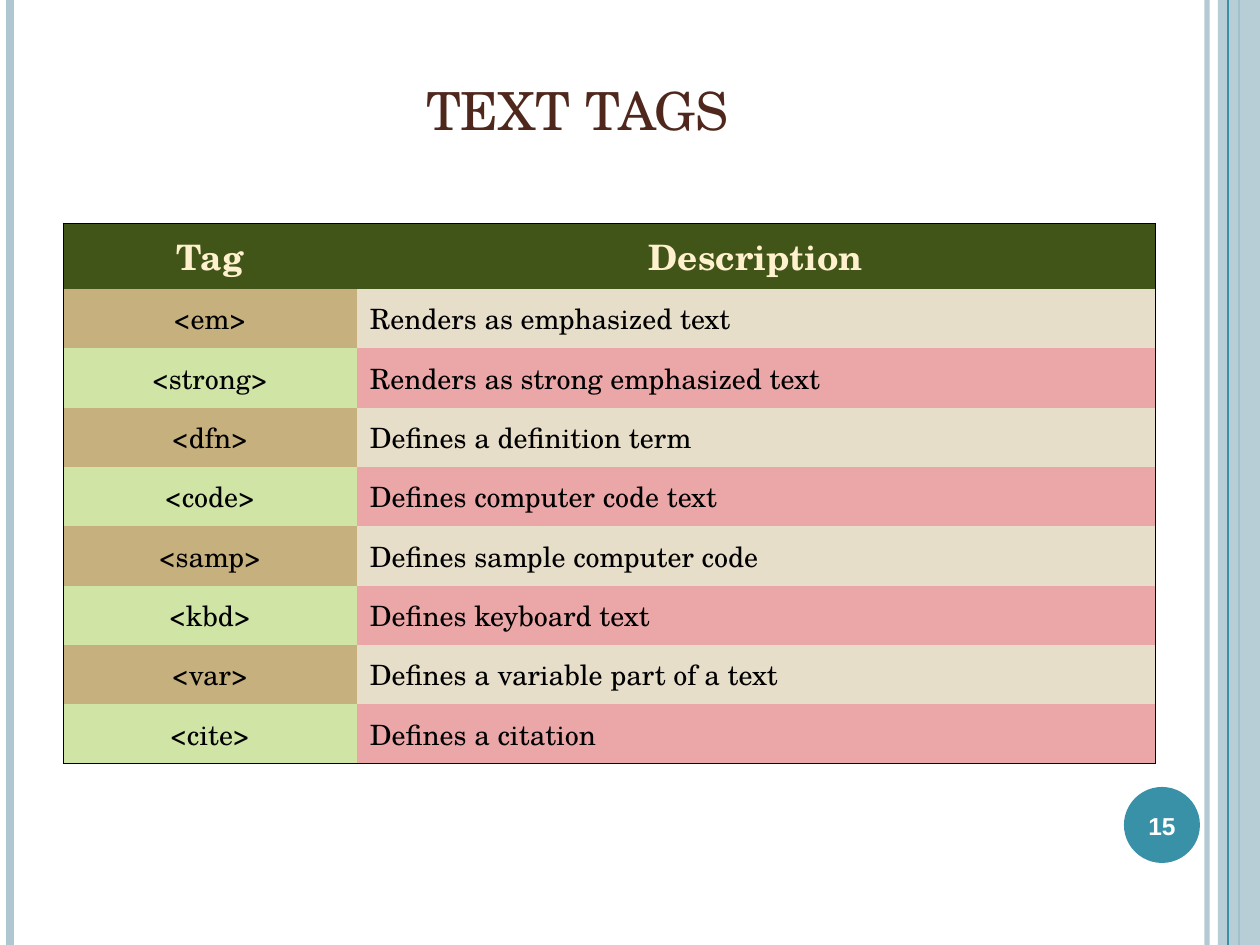
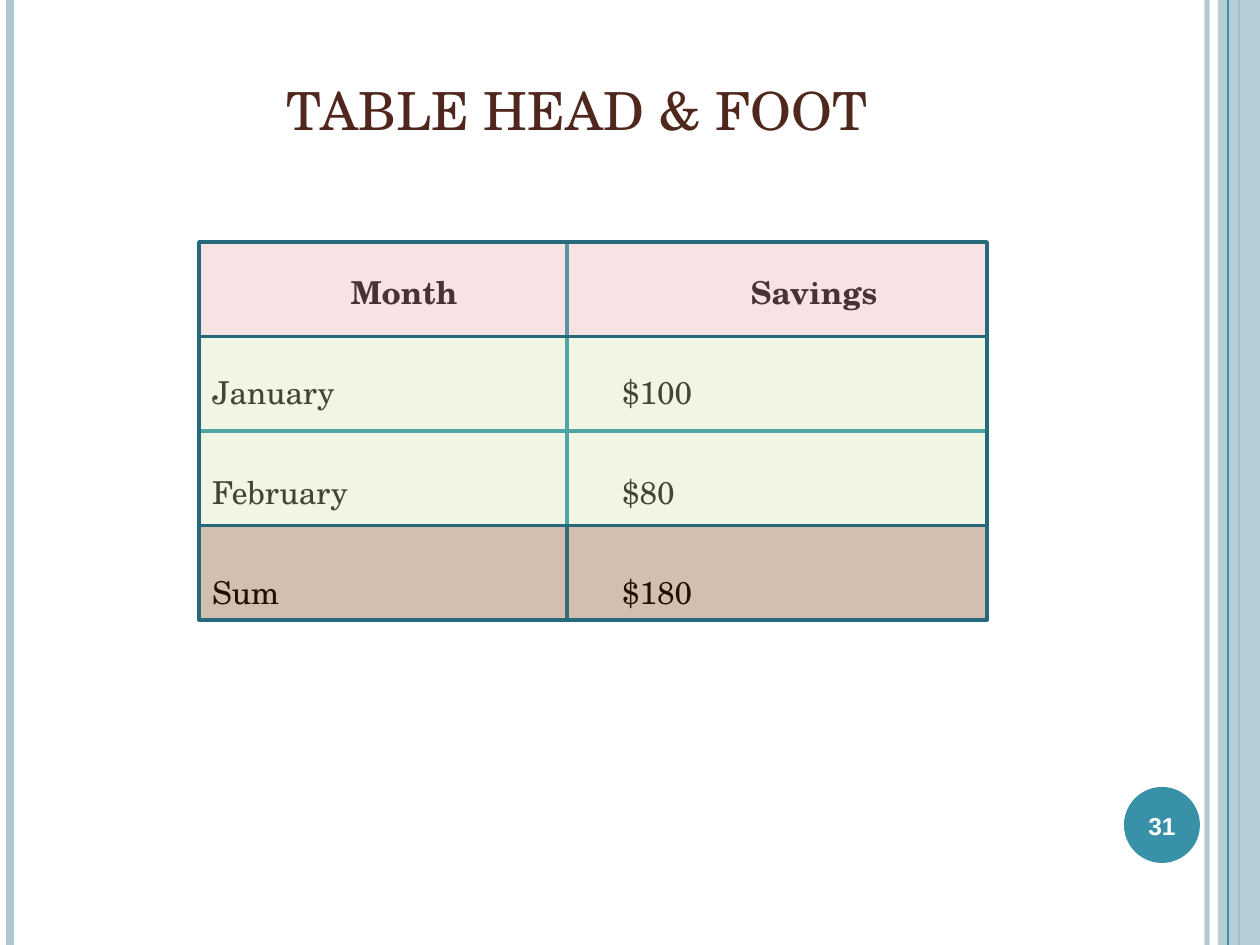
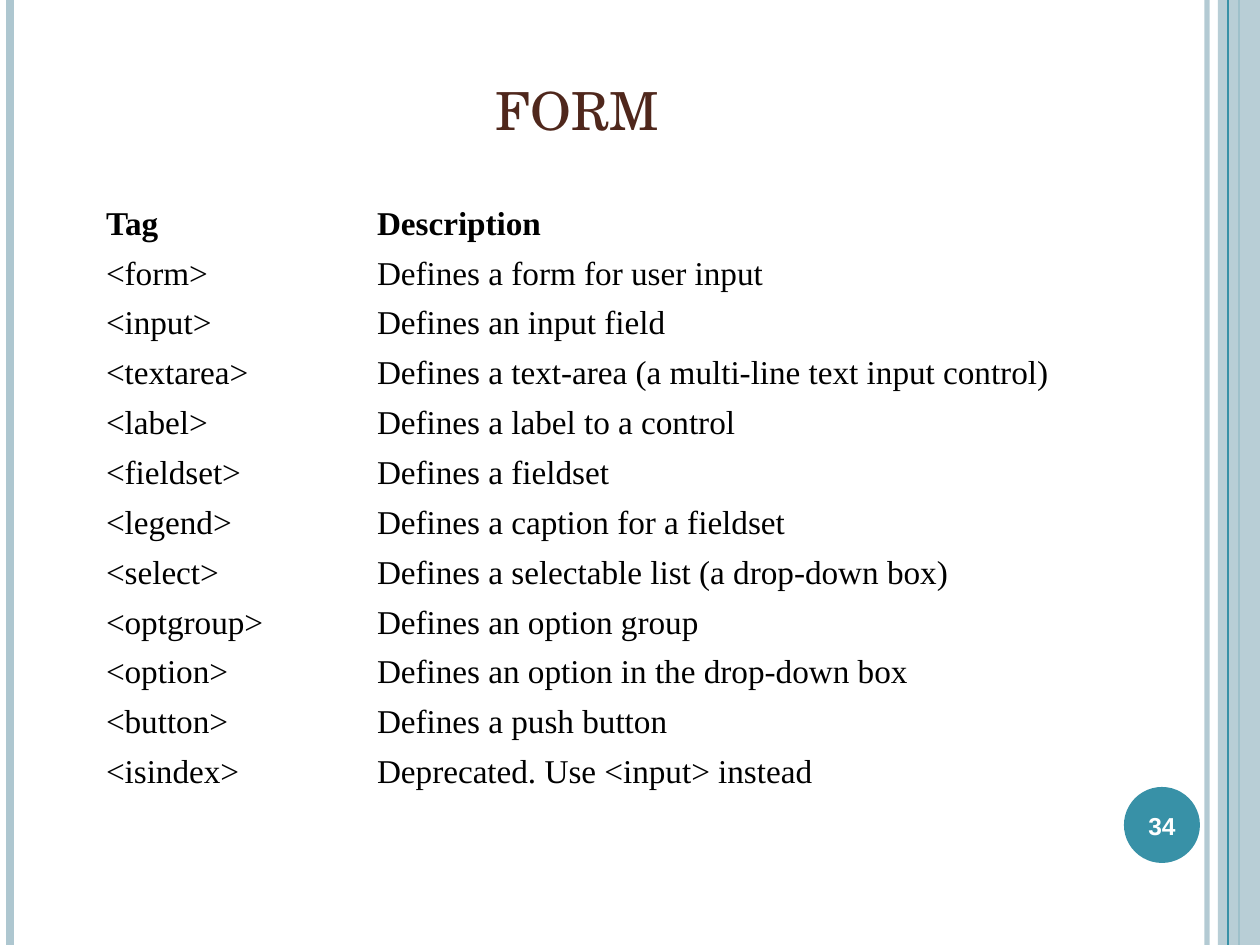
from dataclasses import dataclass

from lxml import etree
from pptx import Presentation
from pptx.dml.color import RGBColor
from pptx.enum.shapes import MSO_CONNECTOR, MSO_SHAPE
from pptx.enum.text import MSO_ANCHOR, PP_ALIGN
from pptx.oxml.ns import qn
from pptx.util import Emu, Pt

RECTANGLE, OVAL = MSO_SHAPE.RECTANGLE, MSO_SHAPE.OVAL
STRAIGHT = MSO_CONNECTOR.STRAIGHT
MIDDLE, BOTTOM = MSO_ANCHOR.MIDDLE, MSO_ANCHOR.BOTTOM
LEFT, CENTER = PP_ALIGN.LEFT, PP_ALIGN.CENTER
NO_TABLE_STYLE = "{2D5ABB26-0587-4C30-8999-92F81FD0307C}"
PX = 914400 / 126
SLIDE_WIDTH, SLIDE_HEIGHT = 1260, 945


@dataclass(frozen=True)
class Theme:
    serif: str = "TeX Gyre Schola"
    plain: str = "Times New Roman"
    sans: str = "Arial"
    title: str = "4F271C"
    ink: str = "000000"
    white: str = "FFFFFF"
    pale: str = "AEC7D0"
    teal: str = "3891A7"
    cream: str = "FFF1CE"
    olive: str = "425519"
    tan: str = "C6B07E"
    sand: str = "E7DEC9"
    lime: str = "D0E4A6"
    pink: str = "EBA7A8"
    brown: str = "713204"
    grid: str = "1689A6"
    frame: str = "26697A"
    title_size: int = 30
    heading_size: int = 20
    form_size: int = 19
    savings_size: int = 18
    body_size: int = 16
    number_size: int = 14


THEME = Theme()

TEXT_TAGS = [
    ("Tag", "Description"),
    ("<em>", "Renders as emphasized text"),
    ("<strong>", "Renders as strong emphasized text"),
    ("<dfn>", "Defines a definition term"),
    ("<code>", "Defines computer code text"),
    ("<samp>", "Defines sample computer code"),
    ("<kbd>", "Defines keyboard text"),
    ("<var>", "Defines a variable part of a text"),
    ("<cite>", "Defines a citation"),
]
SAVINGS = [
    ("Month", "Savings"),
    ("January", "$100"),
    ("February", "$80"),
    ("Sum", "$180"),
]
FORM_TAGS = [
    ("Tag", "Description"),
    ("<form>", "Defines a form for user input"),
    ("<input>", "Defines an input field"),
    ("<textarea>", "Defines a text-area (a multi-line text input control)"),
    ("<label>", "Defines a label to a control"),
    ("<fieldset>", "Defines a fieldset"),
    ("<legend>", "Defines a caption for a fieldset"),
    ("<select>", "Defines a selectable list (a drop-down box)"),
    ("<optgroup>", "Defines an option group"),
    ("<option>", "Defines an option in the drop-down box"),
    ("<button>", "Defines a push button"),
    ("<isindex>", "Deprecated. Use <input> instead"),
]


def px(length):
    return Emu(round(length * PX))


def box(*lengths):
    return [px(length) for length in lengths]


def rgb(color):
    return RGBColor.from_string(color)


def set_attributes(target, values):
    for name, value in values.items():
        setattr(target, name, value)


def set_opacity(element, percent):
    for color in element.iter(qn("a:srgbClr")):
        etree.SubElement(color, qn("a:alpha"), val=str(percent * 1000))


def write(paragraph, text, font, size, color, bold=False, align=LEFT):
    paragraph.alignment = align
    run = paragraph.add_run()
    run.text = text
    set_attributes(run.font, {"name": font, "size": Pt(size), "bold": bold})
    run.font.color.rgb = rgb(color)


def add_text(slide, bounds, anchor, text, **style):
    frame = slide.shapes.add_textbox(*box(*bounds)).text_frame
    set_attributes(frame, {"word_wrap": True, "vertical_anchor": anchor})
    write(frame.paragraphs[0], text, align=CENTER, **style)


def add_line(slide, start, end, color, width, opacity=100):
    line = slide.shapes.add_connector(STRAIGHT, *box(*start, *end))
    line.line.color.rgb = rgb(color)
    line.line.width = Pt(width)
    properties = line._element.spPr
    etree.SubElement(properties, qn("a:effectLst"))
    if opacity < 100:
        set_opacity(properties, opacity)


def add_panel(slide, kind, bounds, color, opacity=100, outline=None):
    shape = slide.shapes.add_shape(kind, *box(*bounds))
    shape.shadow.inherit = False
    shape.fill.solid()
    shape.fill.fore_color.rgb = rgb(color)
    if opacity < 100:
        set_opacity(shape._element.spPr.find(qn("a:solidFill")), opacity)
    if outline:
        shape.line.color.rgb = rgb(outline)
        shape.line.width = Pt(2)
    else:
        shape.line.fill.background()


def add_table(slide, rows, corner, widths, heights, margins, cell_style):
    bounds = box(*corner, sum(widths), sum(heights))
    table = slide.shapes.add_table(len(rows), len(widths), *bounds).table
    set_attributes(table, {"first_row": False, "horz_banding": False})
    table._tbl.tblPr.find(qn("a:tableStyleId")).text = NO_TABLE_STYLE
    for column, width in zip(table.columns, widths):
        column.width = px(width)
    for row, height in zip(table.rows, heights):
        row.height = px(height)
    side, end = box(*margins)
    for r, texts in enumerate(rows):
        for c, text in enumerate(texts):
            cell = table.cell(r, c)
            set_attributes(cell, {
                "vertical_anchor": MIDDLE,
                "margin_left": side, "margin_right": side,
                "margin_top": end, "margin_bottom": end,
            })
            fill, style = cell_style(r, c)
            if fill:
                cell.fill.solid()
                cell.fill.fore_color.rgb = rgb(fill)
            else:
                cell.fill.background()
            write(cell.text_frame.paragraphs[0], text, **style)
    return table


def outline_table(table, color, width):
    last_row, last_column = len(table.rows) - 1, len(table.columns) - 1
    for r in range(last_row + 1):
        for c in range(last_column + 1):
            edges = {"L": c == 0, "R": c == last_column, "T": r == 0, "B": r == last_row}
            properties = table.cell(r, c)._tc.get_or_add_tcPr()
            sides = [side for side, outer in edges.items() if outer]
            for position, side in enumerate(sides):
                border = etree.Element(qn(f"a:ln{side}"), w=str(Pt(width)))
                fill = etree.SubElement(border, qn("a:solidFill"))
                etree.SubElement(fill, qn("a:srgbClr"), val=color)
                properties.insert(position, border)


def add_base_slide(presentation, title, number):
    slide = presentation.slides.add_slide(presentation.slide_layouts[6])

    def rule(x, color, width, opacity=100):
        add_line(slide, (x, 0), (x, SLIDE_HEIGHT), color, width, opacity)

    rule(1207, THEME.pale, 3, 93)
    rule(10, THEME.pale, 4.5)
    rule(1239, THEME.teal, 1.5)
    add_panel(slide, RECTANGLE, (1218, 0, 42, SLIDE_HEIGHT), THEME.pale, 87)
    rule(1228, THEME.teal, 0.75)
    add_panel(slide, OVAL, (1124, 787, 76, 76), THEME.teal)
    add_text(slide, (63, 38, 1029, 109), BOTTOM, title,
             font=THEME.serif, size=THEME.title_size, color=THEME.title)
    add_text(slide, (1120, 790, 84, 72), MIDDLE, str(number),
             font=THEME.sans, size=THEME.number_size, color=THEME.white, bold=True)
    return slide


def text_tag_style(r, c):
    style = {"font": THEME.serif, "align": LEFT if r and c else CENTER}
    if r == 0:
        return THEME.olive, {**style, "size": THEME.heading_size,
                             "color": THEME.cream, "bold": True}
    fills = (THEME.tan, THEME.sand) if r % 2 else (THEME.lime, THEME.pink)
    return fills[c], {**style, "size": THEME.body_size, "color": THEME.ink}


def savings_style(r, c):
    return None, {"font": THEME.serif, "size": THEME.savings_size, "color": THEME.ink,
                  "bold": r == 0, "align": LEFT if r else CENTER}


def form_style(r, c):
    return None, {"font": THEME.plain, "size": THEME.form_size,
                  "color": THEME.ink, "bold": r == 0}


def add_text_tags(presentation):
    slide = add_base_slide(presentation, "TEXT TAGS", 15)
    body_rows = len(TEXT_TAGS) - 1
    heights = [66] + [475 / body_rows] * body_rows
    table = add_table(slide, TEXT_TAGS, (63, 223), (294, 798), heights,
                      (13, 6), text_tag_style)
    outline_table(table, THEME.ink, 0.45)


def add_savings(presentation):
    slide = add_base_slide(presentation, "TABLE HEAD & FOOT", 31)
    left, top, width, height = 199, 242, 788, 378
    right, bottom = left + width, top + height
    step = height / len(SAVINGS)
    add_table(slide, SAVINGS, (left, top), (410, 410), [100] * len(SAVINGS),
              (13, 6), savings_style)
    for x in (left, 567, right):
        add_line(slide, (x, top), (x, bottom), THEME.grid, 2.25)
    for index in range(len(SAVINGS) + 1):
        y = top + index * step
        add_line(slide, (left, y), (right, y), THEME.grid, 2.25)
    for first, count, color in ((0, 1, THEME.pink), (3, 1, THEME.brown), (1, 2, THEME.lime)):
        bounds = (left, top + first * step, width, count * step)
        add_panel(slide, RECTANGLE, bounds, color, 31, THEME.frame)


def add_form(presentation):
    slide = add_base_slide(presentation, "FORM", 34)
    rows = len(FORM_TAGS)
    add_table(slide, FORM_TAGS, (105, 199), (271, 790), [593 / rows] * rows,
              (1, 5), form_style)


def main():
    presentation = Presentation()
    presentation.slide_width, presentation.slide_height = box(SLIDE_WIDTH, SLIDE_HEIGHT)
    add_text_tags(presentation)
    add_savings(presentation)
    add_form(presentation)
    presentation.save("out.pptx")


if __name__ == "__main__":
    main()
